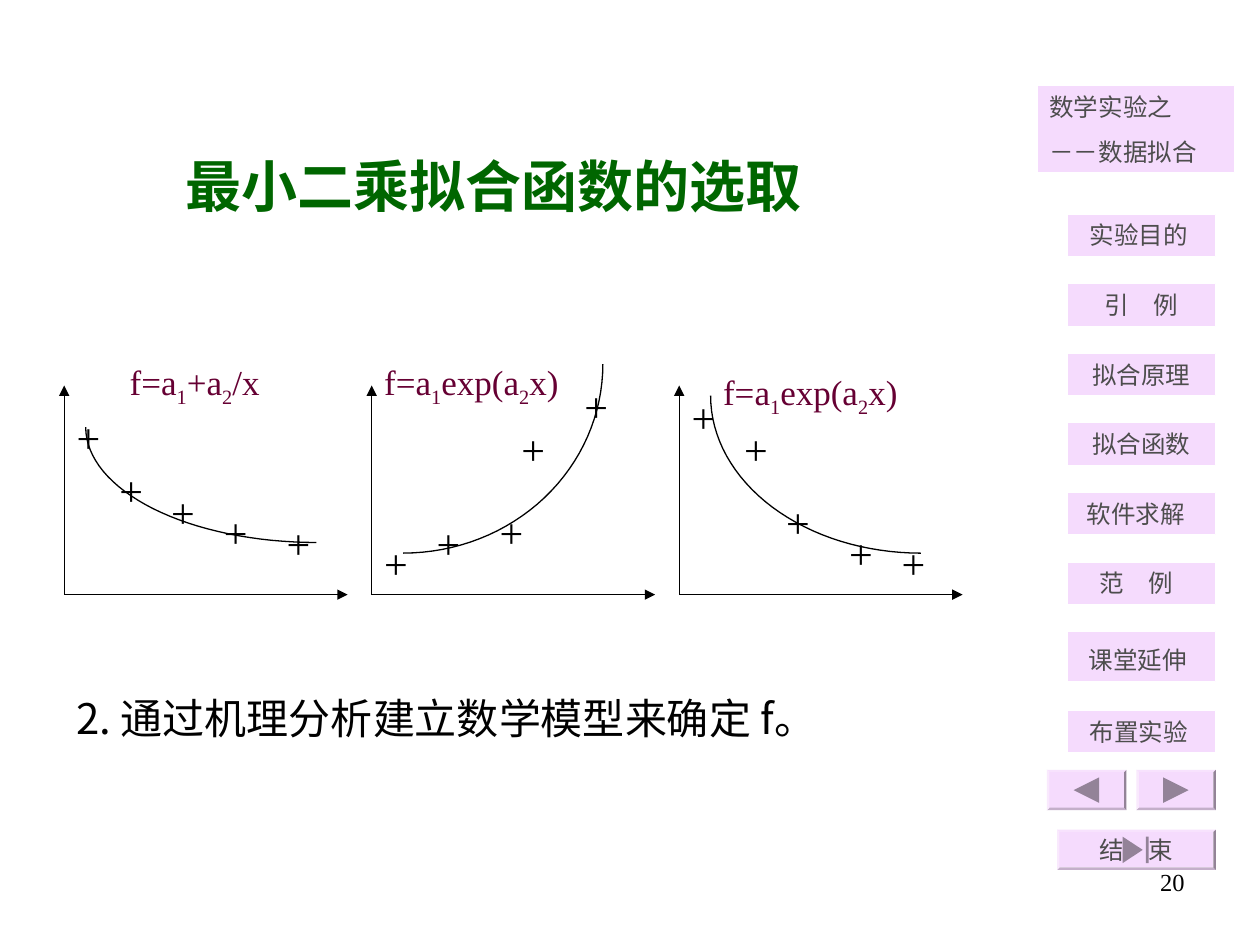
from dataclasses import dataclass
from math import cos, pi, sin

from lxml.etree import SubElement
from pptx import Presentation
from pptx.dml.color import RGBColor
from pptx.enum.shapes import MSO_CONNECTOR, MSO_SHAPE
from pptx.enum.text import MSO_ANCHOR, PP_ALIGN
from pptx.oxml.ns import qn
from pptx.util import Pt

BLACK = RGBColor(0, 0, 0)
WHITE = RGBColor(0xFF, 0xFF, 0xFF)
GRAY = RGBColor(0x4D, 0x4D, 0x4D)
LILAC = RGBColor(0xF5, 0xDB, 0xFD)
ICON = RGBColor(0x93, 0x83, 0x98)
GREEN = RGBColor(0, 0x66, 0)
MAROON = RGBColor(0x66, 0, 0x33)
HAN = "Noto Sans CJK SC"
LATIN = "Arial"
SERIF = "Times New Roman"

AXIS_Y, AXIS_TOP, AXIS_WIDTH = 339.8, 220.3, 162
PLOT_LEFT, PLOT_PITCH = 36.7, 175.7
MENU_LEFT, MENU_TOP, MENU_PITCH = 609.8, 122.4, 39.74
MENU_WIDTH, MENU_HEIGHT = 85, 24.3
CURVE_STEPS = 32


@dataclass(frozen=True)
class Area:
    left: float
    top: float
    width: float
    height: float

    def lengths(self) -> tuple:
        return Pt(self.left), Pt(self.top), Pt(self.width), Pt(self.height)


@dataclass(frozen=True)
class TextStyle:
    size: float
    color: RGBColor
    font: str = HAN
    bold: bool = False
    align: PP_ALIGN = PP_ALIGN.LEFT


@dataclass(frozen=True)
class MenuItem:
    label: str
    top: float
    font: str = HAN
    height: float = MENU_HEIGHT
    top_inset: float = 3.6
    right_inset: float = 7.2


@dataclass(frozen=True)
class Plot:
    marks: tuple
    curve: Area
    rising: bool
    formula: tuple
    formula_area: Area


MENU_STYLE = TextStyle(14, GRAY, align=PP_ALIGN.CENTER)
MARK_STYLE = TextStyle(24, BLACK, SERIF)
FORMULA_STYLE = TextStyle(20, MAROON, SERIF)
EXPONENTIAL = ("f=a", "1", "exp(a", "2", "x)")

MENU = (
    MenuItem("实验目的", MENU_TOP, right_inset=10.4),
    MenuItem("引　例", MENU_TOP + MENU_PITCH),
    MenuItem("拟合原理", MENU_TOP + 2 * MENU_PITCH, LATIN),
    MenuItem("拟合函数", MENU_TOP + 3 * MENU_PITCH, LATIN),
    MenuItem("软件求解", MENU_TOP + 4 * MENU_PITCH, right_inset=13.5),
    MenuItem("范　例", MENU_TOP + 5 * MENU_PITCH, right_inset=13.5),
    MenuItem("课堂延伸", MENU_TOP + 6 * MENU_PITCH, height=28.8, top_inset=7.6, right_inset=11.3),
    MenuItem("布置实验", 406, right_inset=10.4),
)

PLOTS = (
    Plot(((0, 231.8), (24.5, 262.1), (54, 274.3), (84.2, 285.8), (120, 292.3)),
         Area(49, 244.1, 131.8, 65.9), False,
         ("f=a", "1", "+a", "2", "/x"), Area(67, 202.3, 138.2, 34.6)),
    Plot(((0, 303.8), (30, 292.3), (66, 285.8), (78.5, 238.3), (114.5, 213.8)),
         Area(230.4, 208.1, 114.1, 108), True,
         EXPONENTIAL, Area(212.4, 202.3, 138.2, 34.6)),
    Plot(((0, 220.3), (30, 238.3), (54, 280.1), (90, 298.1), (120, 303.8)),
         Area(406.1, 226.1, 120.2, 90), False,
         EXPONENTIAL, Area(406.1, 208.1, 138.2, 34.6)),
)


def style_span(span, style: TextStyle) -> None:
    span.font.size = Pt(style.size)
    span.font.bold = style.bold
    span.font.name = style.font
    span.font.color.rgb = style.color
    SubElement(span._r.get_or_add_rPr(), qn("a:ea"), typeface=HAN)


def write(box, text: str, style: TextStyle, top_inset: float = 3.6,
          right_inset: float = 7.2, gap: float = 0) -> None:
    frame = box.text_frame
    frame.word_wrap = True
    frame.vertical_anchor = MSO_ANCHOR.TOP
    frame.margin_left, frame.margin_right = Pt(7.2), Pt(right_inset)
    frame.margin_top, frame.margin_bottom = Pt(top_inset), Pt(3.6)
    frame.text = text
    for index, para in enumerate(frame.paragraphs):
        para.alignment = style.align
        if index:
            para.space_before = Pt(gap)
        for span in para.runs:
            style_span(span, style)


def add_text(page, area: Area, text: str, style: TextStyle, right_inset: float = 7.2) -> None:
    write(page.shapes.add_textbox(*area.lengths()), text, style, right_inset=right_inset)


def add_formula(page, area: Area, parts: tuple) -> None:
    box = page.shapes.add_textbox(*area.lengths())
    box.text_frame.word_wrap = True
    para = box.text_frame.paragraphs[0]
    for index, part in enumerate(parts):
        span = para.add_run()
        span.text = part
        style_span(span, FORMULA_STYLE)
        if index % 2:
            span._r.get_or_add_rPr().set("baseline", "-25000")


def add_solid(page, kind: MSO_SHAPE, area: Area, color: RGBColor):
    shape = page.shapes.add_shape(kind, *area.lengths())
    shape.shadow.inherit = False
    shape.fill.solid()
    shape.fill.fore_color.rgb = color
    shape.line.fill.background()
    return shape


def add_panel(page, area: Area):
    panel = add_solid(page, MSO_SHAPE.RECTANGLE, area, LILAC)
    panel.line.color.rgb = WHITE
    panel.line.width = Pt(0.75)
    return panel


def add_bevel(page, area: Area):
    button = add_solid(page, MSO_SHAPE.BEVEL, area, LILAC)
    button.adjustments[0] = 0.06
    return button


def add_triangle(page, area: Area, rotation: float) -> None:
    turned = Area(area.left + (area.width - area.height) / 2,
                  area.top + (area.height - area.width) / 2, area.height, area.width)
    add_solid(page, MSO_SHAPE.ISOSCELES_TRIANGLE, turned, ICON).rotation = rotation


def add_arrow(page, left: float, top: float, right: float, bottom: float) -> None:
    arrow = page.shapes.add_connector(
        MSO_CONNECTOR.STRAIGHT, Pt(left), Pt(top), Pt(right), Pt(bottom))
    arrow.line.color.rgb = BLACK
    arrow.line.width = Pt(0.75)
    SubElement(arrow.line._get_or_add_ln(), qn("a:tailEnd"), type="triangle")
    SubElement(arrow._element.spPr, qn("a:effectLst"))


def add_curve(page, area: Area, rising: bool) -> None:
    points = []
    for step in range(CURVE_STEPS + 1):
        angle = pi / 2 * step / CURVE_STEPS
        across = area.width * (1 - cos(angle))
        x = area.left + (area.width - across if rising else across)
        points.append((Pt(x), Pt(area.top + area.height * sin(angle))))
    builder = page.shapes.build_freeform(*points[0], scale=1.0)
    builder.add_line_segments(points[1:], close=False)
    curve = builder.convert_to_shape()
    curve.shadow.inherit = False
    curve.fill.background()
    curve.line.color.rgb = BLACK
    curve.line.width = Pt(0.75)


def add_plot(page, plot: Plot, left: float) -> None:
    add_arrow(page, left, AXIS_Y, left, AXIS_TOP)
    add_arrow(page, left, AXIS_Y, left + AXIS_WIDTH, AXIS_Y)
    for offset, top in plot.marks:
        add_text(page, Area(left + offset, top, 30, 36), "+", MARK_STYLE)
    add_curve(page, plot.curve, plot.rising)
    add_formula(page, plot.formula_area, plot.formula)


def main() -> None:
    deck = Presentation()
    deck.slide_width, deck.slide_height = Pt(720), Pt(540)
    page = deck.slides.add_slide(deck.slide_layouts[6])

    add_text(page, Area(516.2, 491.8, 167.8, 37.4), "20",
             TextStyle(14, BLACK, SERIF, align=PP_ALIGN.RIGHT))
    for left, rotation in ((598.3, -90), (649.4, 90)):
        add_bevel(page, Area(left, 439.9, 45.4, 23))
        add_triangle(page, Area(left + 15.2, 444.2, 14.6, 14.6), rotation)
    write(add_panel(page, Area(592.6, 49, 113, 49.4)), "数学实验之\n－－数据拟合",
          TextStyle(14, GRAY), gap=8.8)
    for item in MENU:
        panel = add_panel(page, Area(MENU_LEFT, item.top, MENU_WIDTH, item.height))
        write(panel, item.label, TextStyle(14, GRAY, item.font, align=PP_ALIGN.CENTER),
              item.top_inset, item.right_inset)

    end_area = Area(604.1, 474.1, 90.7, 23)
    add_bevel(page, end_area)
    add_triangle(page, Area(641.5, 478.1, 11.5, 15.1), 90)
    add_solid(page, MSO_SHAPE.RECTANGLE, Area(654.8, 478.1, 1.6, 15.1), ICON)
    end_label = page.shapes.add_textbox(*end_area.lengths())
    write(end_label, "结　束", MENU_STYLE)
    end_label.text_frame.vertical_anchor = MSO_ANCHOR.MIDDLE

    add_text(page, Area(36.7, 392.4, 532.8, 36), "2. 通过机理分析建立数学模型来确定 f。",
             TextStyle(24, BLACK, align=PP_ALIGN.JUSTIFY))
    for index, plot in enumerate(PLOTS):
        add_plot(page, plot, PLOT_LEFT + index * PLOT_PITCH)
    add_text(page, Area(59.8, 82.8, 459.4, 46.1), "最小二乘拟合函数的选取",
             TextStyle(32, GREEN, bold=True, align=PP_ALIGN.CENTER), right_inset=22)
    deck.save("out.pptx")


if __name__ == "__main__":
    main()
